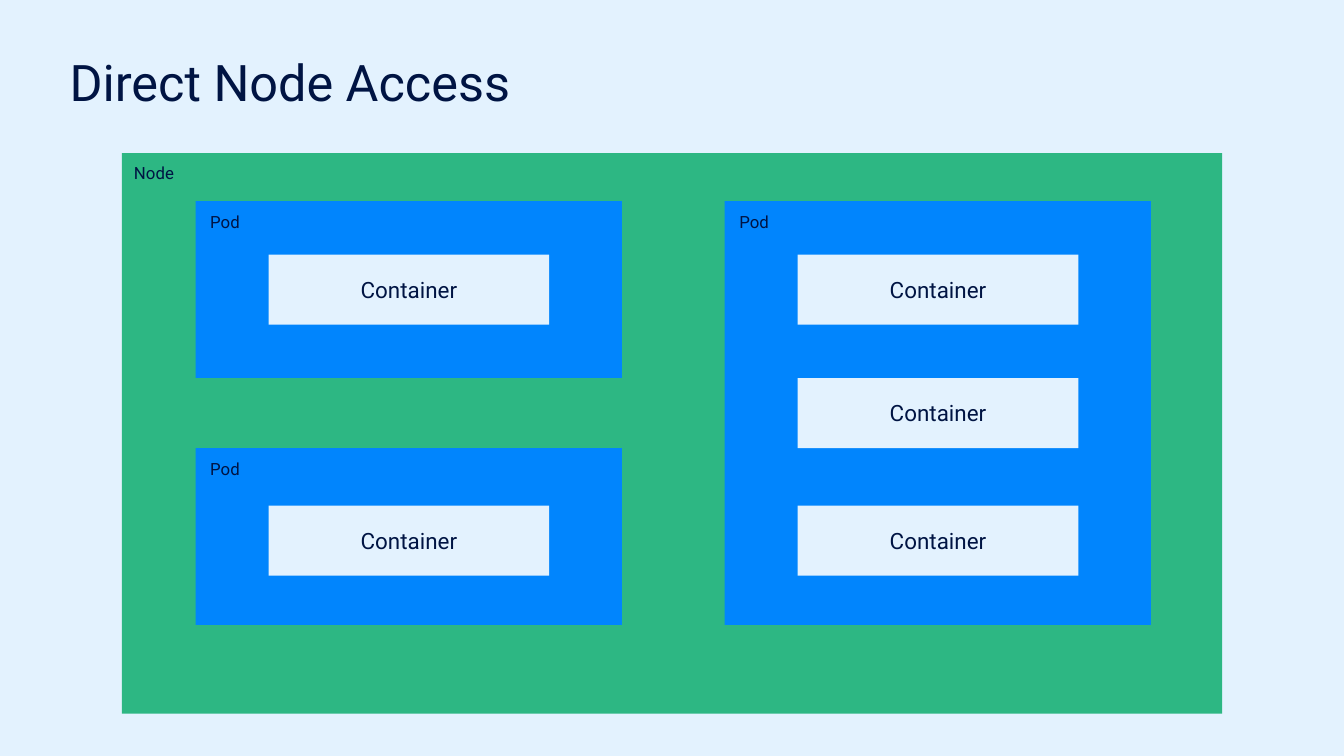
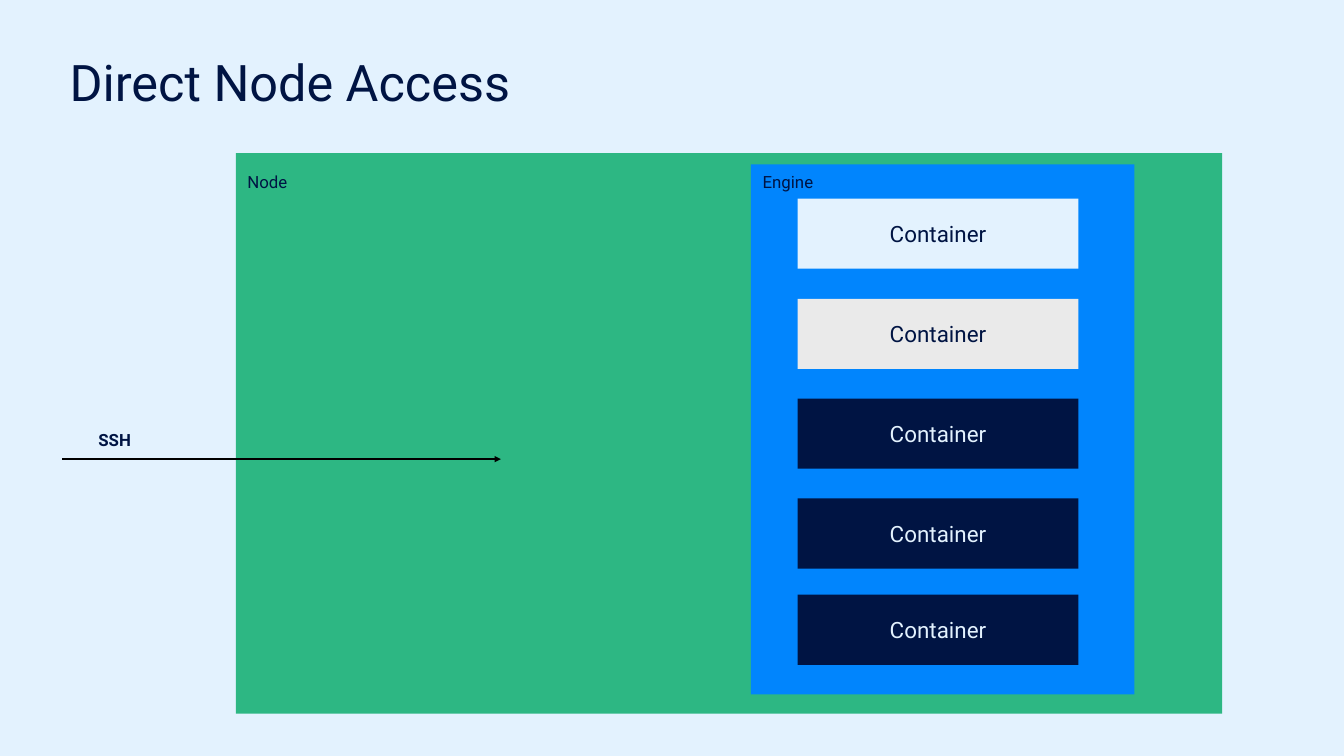
from lxml import etree
from pptx import Presentation
from pptx import util as u
from pptx.dml.color import RGBColor
from pptx.enum import shapes, text
from pptx.oxml.ns import qn

PX = 9144
COLORS = {
    "sky": "E3F2FE",
    "navy": "001443",
    "green": "2DB783",
    "blue": "0185FD",
    "grey": "EAEAEA",
    "black": "000000",
}
TITLE = "Direct Node Access"
CONTAINER_WIDTH, CONTAINER_HEIGHT = 557, 139
POD_WIDTH, POD_HEIGHT = 846, 351
LEFT_POD, RIGHT_POD = 388, 1438
UPPER_POD, LOWER_POD = 399, 889
CONTAINER_INSET = 145
CONTAINER_TOPS = (505, 750, 1003)


def color(name):
    return RGBColor.from_string(COLORS[name])


def px(*lengths):
    return [u.Emu(length * PX) for length in lengths]


def assign(target, values):
    for name, value in values.items():
        setattr(target, name, value)


class Diagram:
    font = "Roboto"
    margins = dict.fromkeys(
        ("margin_left", "margin_top", "margin_right", "margin_bottom"), u.Emu(6 * PX)
    )

    def __init__(self):
        self.deck = Presentation()
        width, height = px(2667, 1500)
        assign(self.deck, {"slide_width": width, "slide_height": height})
        fill = self.deck.slide_master.background.fill
        fill.solid()
        fill.fore_color.rgb = color("sky")
        self.page = None

    def new_page(self, title):
        self.page = self.deck.slides.add_slide(self.deck.slide_layouts[5])
        box = self.page.shapes.title
        left, top, width, height = px(132, 118, 2403, 157)
        assign(box, {"left": left, "top": top, "width": width, "height": height})
        para = self.set_text(box, title, 72, anchor=text.MSO_ANCHOR.TOP)
        assign(para, {"alignment": text.PP_ALIGN.LEFT, "line_spacing": 0.8})

    def set_text(self, box, words, size, ink="navy", bold=False,
                 wrap=True, anchor=text.MSO_ANCHOR.MIDDLE):
        frame = box.text_frame
        assign(frame, self.margins)
        assign(frame, {
            "word_wrap": wrap,
            "auto_size": text.MSO_AUTO_SIZE.NONE,
            "vertical_anchor": anchor,
        })
        para = frame.paragraphs[0]
        para.alignment = text.PP_ALIGN.CENTER
        span = para.add_run()
        span.text = words
        assign(span.font, {"name": self.font, "size": u.Pt(size), "bold": bold})
        span.font.color.rgb = color(ink)
        return para

    def panel(self, left, top, width, height, fill, parent=None):
        box = (parent or self.page).shapes.add_shape(
            shapes.MSO_SHAPE.RECTANGLE, *px(left, top, width, height)
        )
        box.shadow.inherit = False
        box.fill.solid()
        box.fill.fore_color.rgb = color(fill)
        box.line.fill.background()

    def label(self, words, left, top, width, bold=False):
        box = self.page.shapes.add_textbox(*px(left, top, width, 51))
        self.set_text(box, words, 24, bold=bold, wrap=False)

    def container(self, left, top, fill="sky", ink="navy"):
        group = self.page.shapes.add_group_shape()
        self.panel(left, top, CONTAINER_WIDTH, CONTAINER_HEIGHT, fill, group)
        box = group.shapes.add_textbox(*px(left, top + 37, CONTAINER_WIDTH, 64))
        self.set_text(box, "Container", 32, ink)

    def pod(self, left, top, height, container_tops):
        self.panel(left, top, POD_WIDTH, height, "blue")
        for container_top in container_tops:
            self.container(left + CONTAINER_INSET, container_top)
        self.label("Pod", left + 22, top + 15, 73)

    def arrow(self, left, right, y):
        arrow = self.page.shapes.add_connector(
            shapes.MSO_CONNECTOR.STRAIGHT, *px(left, y, right, y)
        )
        arrow.line.width = u.Pt(3)
        arrow.line.color.rgb = color("black")
        properties = arrow.element.spPr
        etree.SubElement(properties.find(qn("a:ln")), qn("a:tailEnd"), type="triangle")
        etree.SubElement(properties, qn("a:effectLst"))


def build_pods(diagram):
    upper, middle, lower = CONTAINER_TOPS
    diagram.new_page(TITLE)
    diagram.panel(242, 304, 2183, 1112, "green")
    diagram.label("Node", 259, 318, 93)
    full_height = LOWER_POD + POD_HEIGHT - UPPER_POD
    diagram.pod(RIGHT_POD, UPPER_POD, full_height, (upper, middle, lower))
    diagram.pod(LEFT_POD, UPPER_POD, POD_HEIGHT, (upper,))
    diagram.pod(LEFT_POD, LOWER_POD, POD_HEIGHT, (lower,))


def build_ssh(diagram):
    diagram.new_page(TITLE)
    diagram.panel(468, 304, 1957, 1112, "green")
    diagram.panel(1490, 326, 761, 1052, "blue")
    diagram.label("Node", 484, 335, 93)
    for top, fill, ink in (
        (394, "sky", "navy"),
        (593, "grey", "navy"),
        (791, "navy", "sky"),
        (989, "navy", "sky"),
        (1180, "navy", "sky"),
    ):
        diagram.container(RIGHT_POD + CONTAINER_INSET, top, fill, ink)
    diagram.label("Engine", 1504, 335, 119)
    diagram.arrow(124, 994, 911)
    diagram.label("SSH", 124, 847, 207, bold=True)


def main():
    diagram = Diagram()
    build_pods(diagram)
    build_ssh(diagram)
    diagram.deck.save("out.pptx")


if __name__ == "__main__":
    main()
